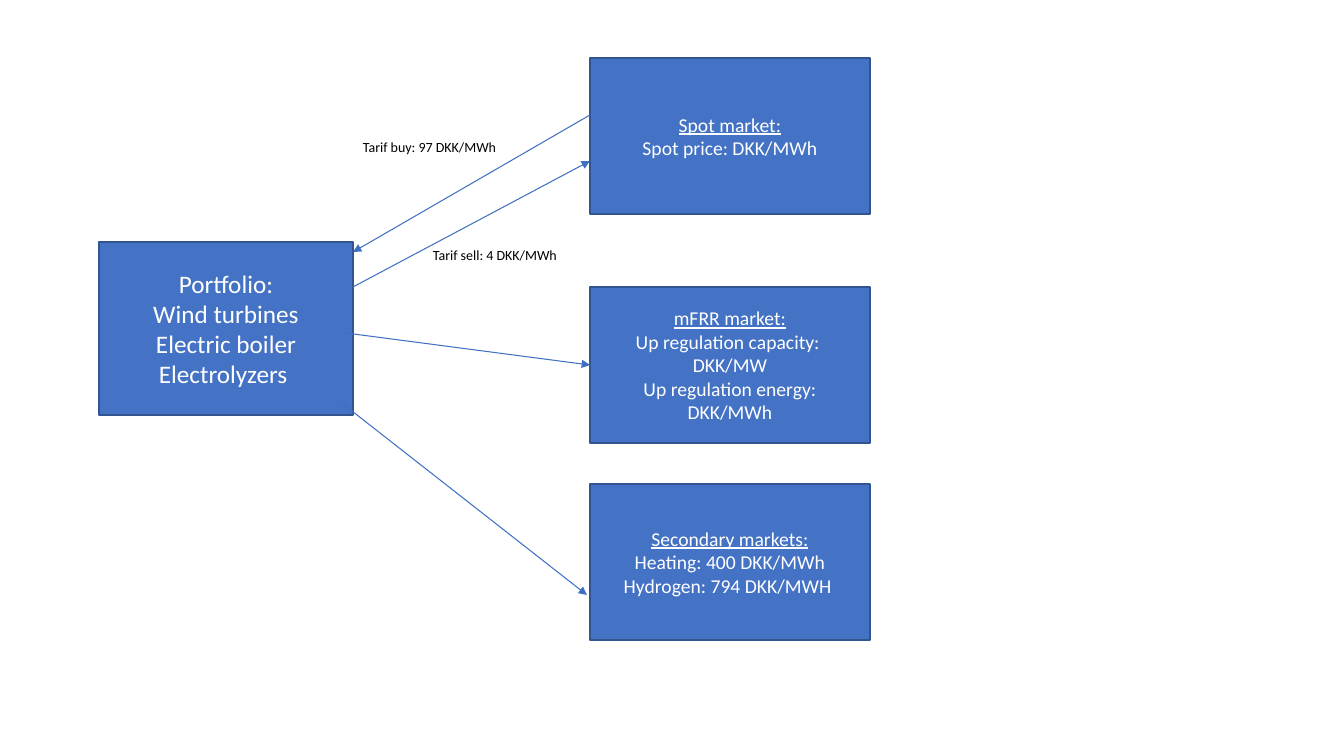
from lxml import etree
from pptx import Presentation
from pptx import util as u
from pptx.dml.color import RGBColor
from pptx.enum import shapes, text
from pptx.oxml.ns import qn

SCALE = 914400 / 100.8
FONT = "Calibri"
COLORS = {"box": "4472C4", "border": "325491", "arrow": "3F6FC3",
          "light": "FFFFFF", "dark": "000000"}
MARKET_LEFT, MARKET_WIDTH, MARKET_HEIGHT = 590, 280, 156


def px(n):
    """Turn pixels into EMU."""
    return u.Emu(round(n * SCALE))


def rgb(name):
    """Look up a named colour."""
    return RGBColor.from_string(COLORS[name])


def add_run(p, words, size, color, underline=False):
    """Add one formatted run to a paragraph."""
    r = p.add_run()
    r.text = words
    r.font.name = FONT
    r.font.size = u.Pt(size)
    r.font.color.rgb = rgb(color)
    if underline:
        r.font.underline = True


def add_box(s, area, lines, size, heading=False):
    """Add a filled box of centred lines, the first underlined if a heading."""
    sp = s.shapes.add_shape(shapes.MSO_SHAPE.RECTANGLE, *map(px, area))
    sp.shadow.inherit = False
    sp.fill.solid()
    sp.fill.fore_color.rgb = rgb("box")
    sp.line.color.rgb = rgb("border")
    sp.line.width = u.Pt(2)
    tf = sp.text_frame
    tf.word_wrap = True
    tf.vertical_anchor = text.MSO_ANCHOR.MIDDLE
    for i, line in enumerate(lines):
        p = tf.add_paragraph() if i else tf.paragraphs[0]
        p.alignment = text.PP_ALIGN.CENTER
        add_run(p, line, size, "light", heading and i == 0)


def add_label(s, left, top, words):
    """Add a small tariff label."""
    sp = s.shapes.add_textbox(*map(px, (left, top, 254, 27)))
    tf = sp.text_frame
    tf.word_wrap = True
    add_run(tf.paragraphs[0], words, 10, "dark")


def add_arrow(s, start, end):
    """Add a straight arrow that points at end."""
    cx = s.shapes.add_connector(shapes.MSO_CONNECTOR.STRAIGHT,
                                *map(px, start + end))
    cx.line.color.rgb = rgb("arrow")
    cx.line.width = u.Pt(0.75)
    etree.SubElement(cx.line._get_or_add_ln(), qn("a:tailEnd"), type="triangle")
    etree.SubElement(cx._element.spPr, qn("a:effectLst"))


def main():
    """Build the portfolio and markets slide."""
    prs = Presentation()
    prs.slide_width, prs.slide_height = px(1344), px(756)
    s = prs.slides.add_slide(prs.slide_layouts[6])

    add_box(s, (99, 242, 254, 173),
            ["Portfolio:", "Wind turbines", "Electric boiler", "Electrolyzers "], 18)

    markets = [
        (58, ["Spot market:", "Spot price: DKK/MWh"]),
        (287, ["mFRR market:", "Up regulation capacity:  DKK/MW",
               "Up regulation energy: DKK/MWh"]),
        (484, ["Secondary markets:", "Heating: 400 DKK/MWh",
               "Hydrogen: 794 DKK/MWH "]),
    ]
    for top, lines in markets:
        add_box(s, (MARKET_LEFT, top, MARKET_WIDTH, MARKET_HEIGHT), lines, 14, True)

    arrows = [
        ((353, 287), (MARKET_LEFT, 161)),
        ((MARKET_LEFT, 115), (353, 252)),
        ((346, 333), (MARKET_LEFT, 365)),
        ((343, 404), (587, 595)),
    ]
    for start, end in arrows:
        add_arrow(s, start, end)

    add_label(s, 423, 242, "Tarif sell: 4 DKK/MWh")
    add_label(s, 353, 134, "Tarif buy: 97 DKK/MWh")
    prs.save("out.pptx")


main()
